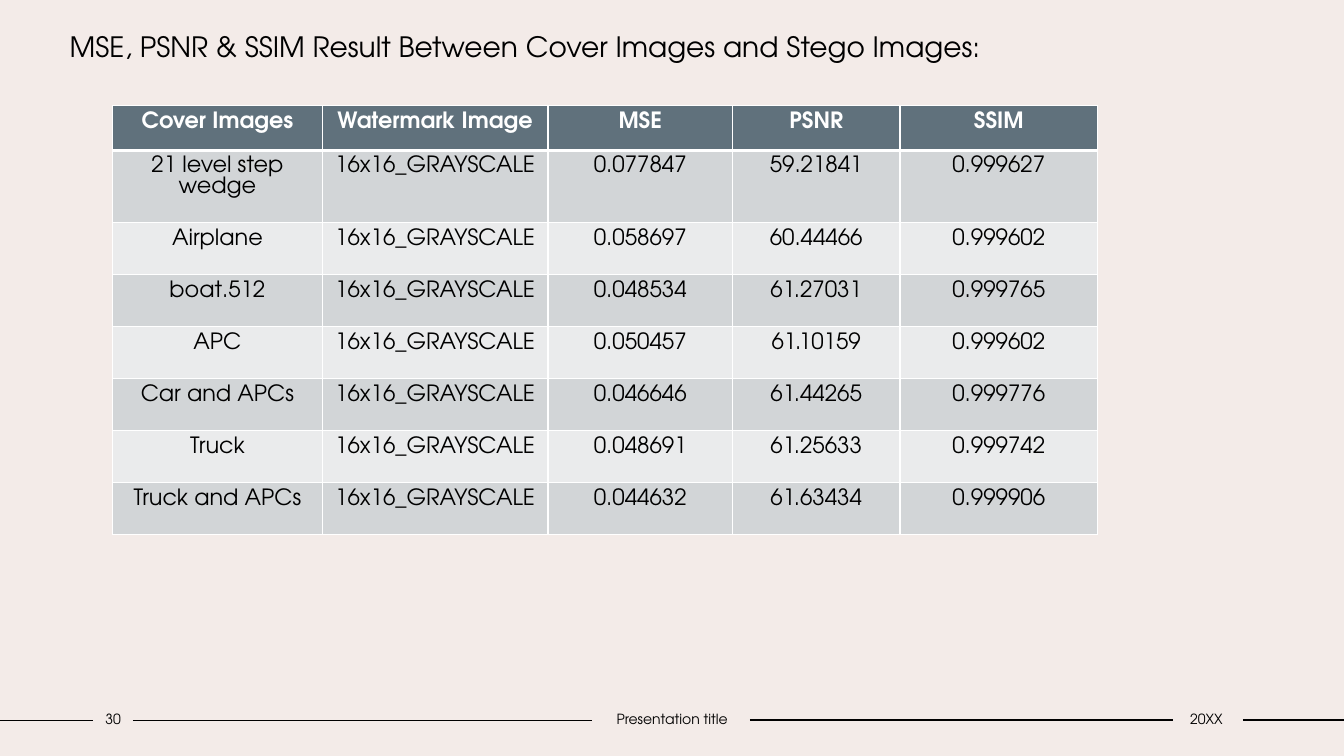
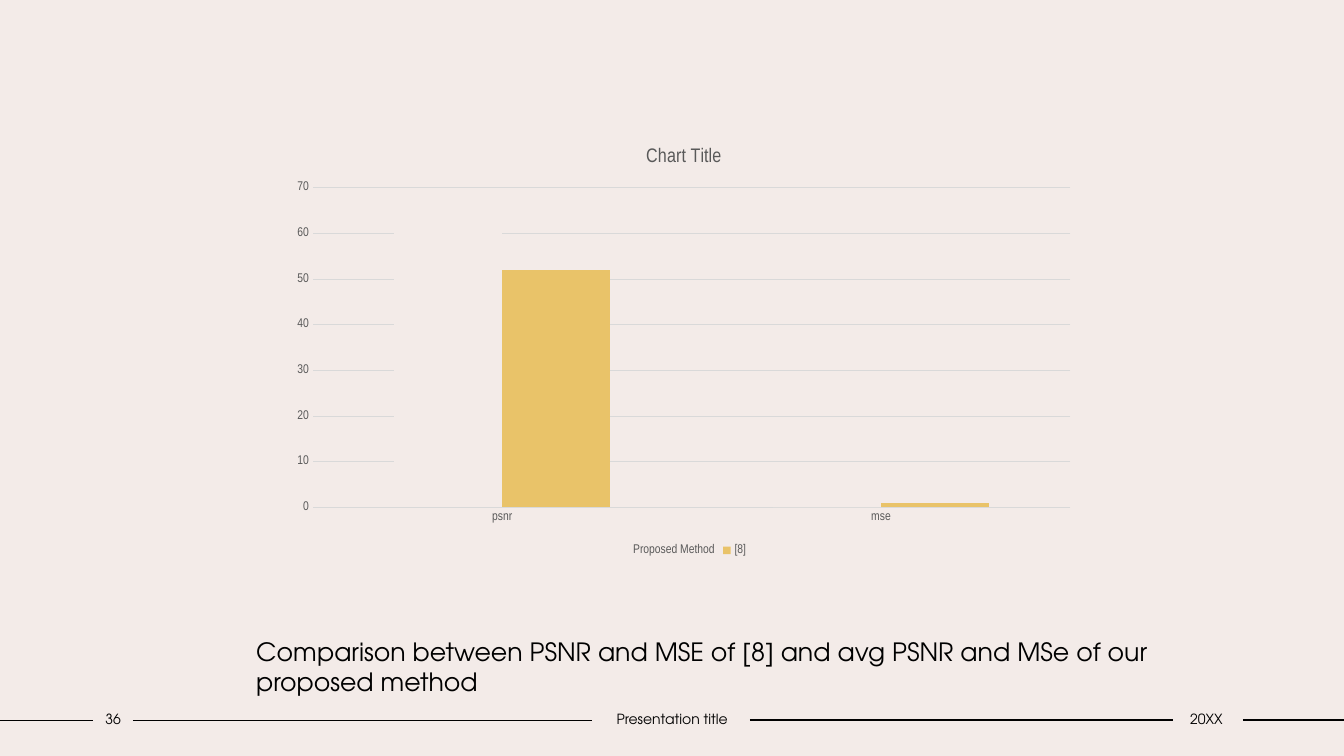
"""Build two result slides: a table of image quality and a comparison chart."""
from lxml import etree
from pptx import Presentation
from pptx import util as u
from pptx.chart import data as chart_data
from pptx.dml.color import RGBColor
from pptx.enum import chart as charts, shapes, text
from pptx.oxml import ns

BLACK = RGBColor(0x00, 0x00, 0x00)
WHITE = RGBColor(0xFF, 0xFF, 0xFF)
BLUSH = RGBColor(0xF3, 0xEB, 0xE8)
SLATE = RGBColor(0x60, 0x71, 0x7C)
BANDS = (RGBColor(0xD2, 0xD5, 0xD7), RGBColor(0xEA, 0xEB, 0xEC))
GOLD = RGBColor(0xE9, 0xC3, 0x69)
GREY = RGBColor(0x59, 0x59, 0x59)
GRID_GREY = RGBColor(0xD9, 0xD9, 0xD9)
FONT = "TeX Gyre Adventor"
CHART_FONT = "Arial Narrow"

FOOTER_LINES = ((0, 2.34, 18.16), (3.35, 14.91, 18.16), (18.9, 29.57, 18.14), (31.32, 33.87, 18.14))
HEADINGS = ("Cover Images", "Watermark Image", "MSE", "PSNR", "SSIM")
WATERMARK = "16x16_GRAYSCALE"
RESULTS = (
    ("21 level step wedge", "0.077847", "59.21841", "0.999627"),
    ("Airplane", "0.058697", "60.44466", "0.999602"),
    ("boat.512", "0.048534", "61.27031", "0.999765"),
    ("APC", "0.050457", "61.10159", "0.999602"),
    ("Car and APCs", "0.046646", "61.44265", "0.999776"),
    ("Truck", "0.048691", "61.25633", "0.999742"),
    ("Truck and APCs", "0.044632", "61.63434", "0.999906"),
)
COLUMN_WIDTHS = (5.28, 5.69, 4.65, 4.22, 4.98)
ROW_HEIGHTS = (1.13, 1.82) + (1.31,) * 6


def style_font(font, size, color, name=FONT, bold=False):
    """Set the face, size, colour and weight of a font."""
    font.name, font.size, font.bold = name, u.Pt(size), bold
    font.color.rgb = color


def add_text(para, words, size, color, align, bold=False):
    """Add one formatted run to an aligned paragraph."""
    para.alignment = align
    span = para.add_run()
    span.text = words
    style_font(span.font, size, color, bold=bold)


def add_footer_line(page, start, end, height):
    """Draw a thin horizontal line without a shadow."""
    line = page.shapes.add_connector(
        shapes.MSO_CONNECTOR.STRAIGHT, u.Cm(start), u.Cm(height), u.Cm(end), u.Cm(height))
    line.line.color.rgb = BLACK
    line.line.width = u.Pt(1)
    etree.SubElement(line._element.spPr, ns.qn("a:effectLst"))


def add_footer_text(page, words, left, width):
    """Add a small centred label between the footer lines."""
    box = page.shapes.add_textbox(u.Cm(left), u.Cm(17.78), u.Cm(width), u.Cm(0.69))
    frame = box.text_frame
    frame.word_wrap = True
    frame.margin_left = frame.margin_right = 0
    frame.vertical_anchor = text.MSO_ANCHOR.MIDDLE
    add_text(frame.paragraphs[0], words, 10, BLACK, text.PP_ALIGN.CENTER)


def add_page(deck, number):
    """Add a title-only page with the shared footer."""
    page = deck.slides.add_slide(deck.slide_layouts.get_by_name("Title Only"))
    for start, end, height in FOOTER_LINES:
        add_footer_line(page, start, end, height)
    for words, left, width in ((number, 2.34, 1.02), ("Presentation title", 14.91, 4.06),
                               ("20XX", 29.51, 1.78)):
        add_footer_text(page, words, left, width)
    return page


def set_title(page, words, size, left, top, width):
    """Place and fill the title placeholder."""
    title = page.shapes.title
    title.left, title.top, title.width, title.height = map(u.Cm, (left, top, width, 1.5))
    frame = title.text_frame
    frame.word_wrap = True
    frame.auto_size = text.MSO_AUTO_SIZE.NONE
    frame.vertical_anchor = text.MSO_ANCHOR.TOP
    add_text(frame.paragraphs[0], words, size, BLACK, text.PP_ALIGN.LEFT)


def set_borders(cell, top, bottom):
    """Give a cell white borders, with its top and bottom widths in points."""
    properties = cell._tc.get_or_add_tcPr()
    for side, points in (("L", 1), ("R", 1), ("T", top), ("B", bottom)):
        border = etree.SubElement(properties, ns.qn(f"a:ln{side}"), w=str(u.Pt(points)))
        fill = etree.SubElement(border, ns.qn("a:solidFill"))
        etree.SubElement(fill, ns.qn("a:srgbClr"), val=str(WHITE))


def fill_cell(cell, words, row):
    """Write and colour one table cell according to its row."""
    heading = row == 0
    set_borders(cell, 3 if row == 1 else 1, 3 if heading else 1)
    cell.fill.solid()
    cell.fill.fore_color.rgb = SLATE if heading else BANDS[(row - 1) % 2]
    cell.margin_top = u.Cm(0.15)
    para = cell.text_frame.paragraphs[0]
    para.line_spacing = u.Pt(15)
    add_text(para, words, 16, WHITE if heading else BLACK, text.PP_ALIGN.CENTER, heading)


def add_result_table(page):
    """Add the table of quality measures."""
    rows = [HEADINGS] + [(cover, WATERMARK, *measures) for cover, *measures in RESULTS]
    table = page.shapes.add_table(
        len(rows), len(HEADINGS), u.Cm(2.84), u.Cm(2.66),
        u.Cm(sum(COLUMN_WIDTHS)), u.Cm(sum(ROW_HEIGHTS))).table
    for column, width in zip(table.columns, COLUMN_WIDTHS):
        column.width = u.Cm(width)
    for row, (values, height) in enumerate(zip(rows, ROW_HEIGHTS)):
        table.rows[row].height = u.Cm(height)
        for column, words in enumerate(values):
            fill_cell(table.cell(row, column), words, row)


def style_axis(axis):
    """Hide an axis line and its ticks and format its labels."""
    axis.major_tick_mark = axis.minor_tick_mark = charts.XL_TICK_MARK.NONE
    axis.format.line.fill.background()
    style_font(axis.tick_labels.font, 9, GREY, CHART_FONT)


def add_comparison_chart(page):
    """Add the column chart that compares both methods."""
    data = chart_data.CategoryChartData()
    data.categories = ("psnr", "mse")
    data.add_series("Proposed Method", (61, 0))
    data.add_series("[8]", (52, 1))
    chart = page.shapes.add_chart(
        charts.XL_CHART_TYPE.COLUMN_CLUSTERED,
        u.Cm(7.09), u.Cm(3.23), u.Cm(20.29), u.Cm(10.9), data).chart
    style_font(chart.font, 10, BLACK, CHART_FONT)
    chart.has_title = True
    span = chart.chart_title.text_frame.paragraphs[0].add_run()
    span.text = "Chart Title"
    style_font(span.font, 14, GREY, CHART_FONT)
    chart.chart_title.include_in_layout = False
    chart.has_legend = True
    chart.legend.position = charts.XL_LEGEND_POSITION.BOTTOM
    chart.legend.include_in_layout = False
    style_font(chart.legend.font, 9, GREY, CHART_FONT)
    style_axis(chart.category_axis)
    values = chart.value_axis
    style_axis(values)
    values.minimum_scale, values.maximum_scale, values.major_unit = 0, 70, 10
    values.major_gridlines.format.line.color.rgb = GRID_GREY
    values.major_gridlines.format.line.width = u.Pt(0.75)
    plot = chart.plots[0]
    plot.gap_width, plot.overlap, plot.vary_by_categories = 150, 0, False
    for series, color in zip(plot.series, (BLUSH, GOLD)):
        series.format.fill.solid()
        series.format.fill.fore_color.rgb = color


def main():
    """Build and save the deck."""
    deck = Presentation()
    deck.slide_width, deck.slide_height = u.Cm(33.87), u.Cm(19.05)
    background = deck.slide_master.background.fill
    background.solid()
    background.fore_color.rgb = BLUSH

    page = add_page(deck, "30")
    set_title(page, "MSE, PSNR & SSIM Result Between Cover Images and Stego Images:",
              20, 1.5, 0.61, 31.5)
    add_result_table(page)

    page = add_page(deck, "36")
    set_title(page, "Comparison between PSNR and MSE of [8] and avg PSNR and MSe of our "
              "proposed method", 18, 6.2, 15.9, 25.1)
    add_comparison_chart(page)
    deck.save("out.pptx")


if __name__ == "__main__":
    main()
